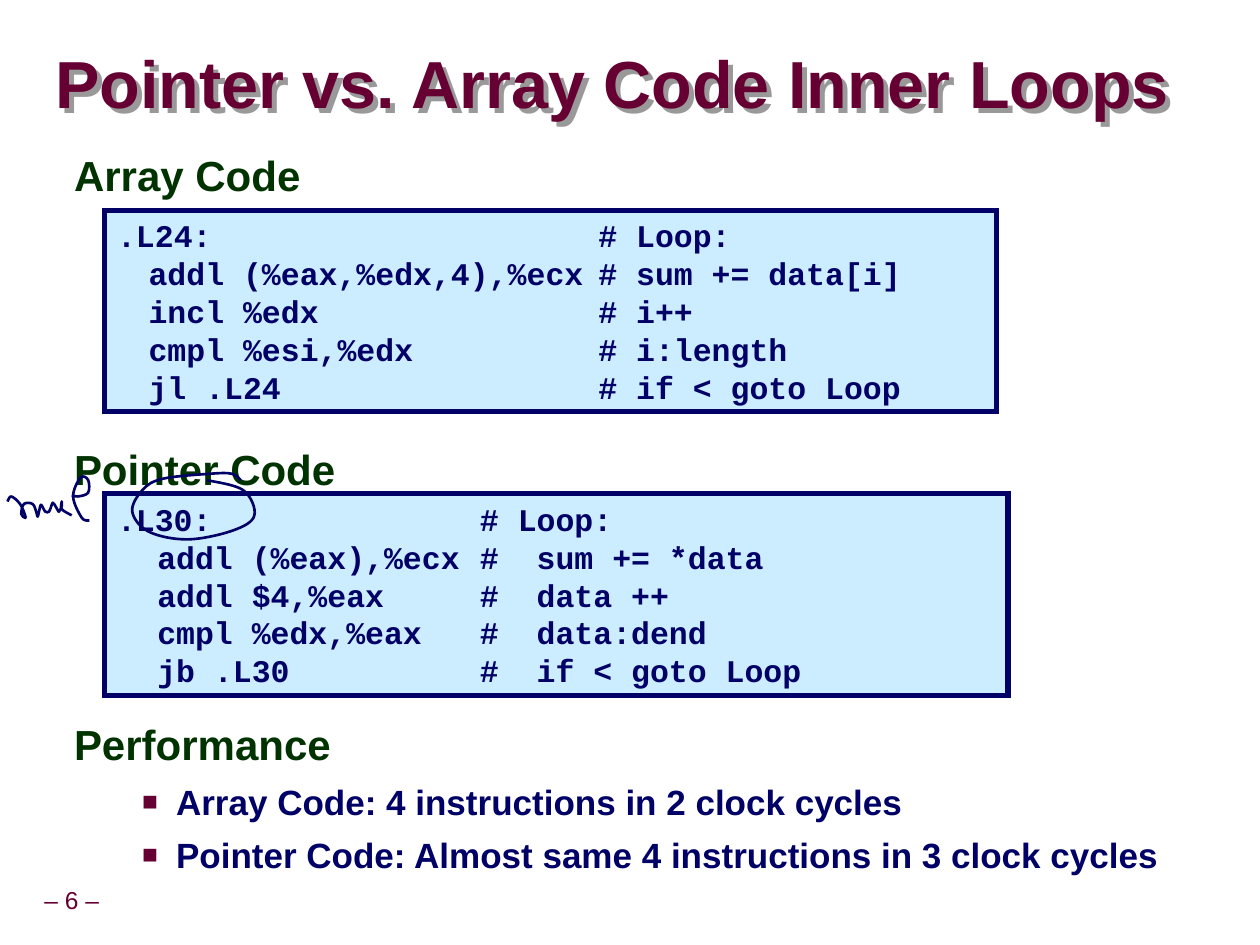
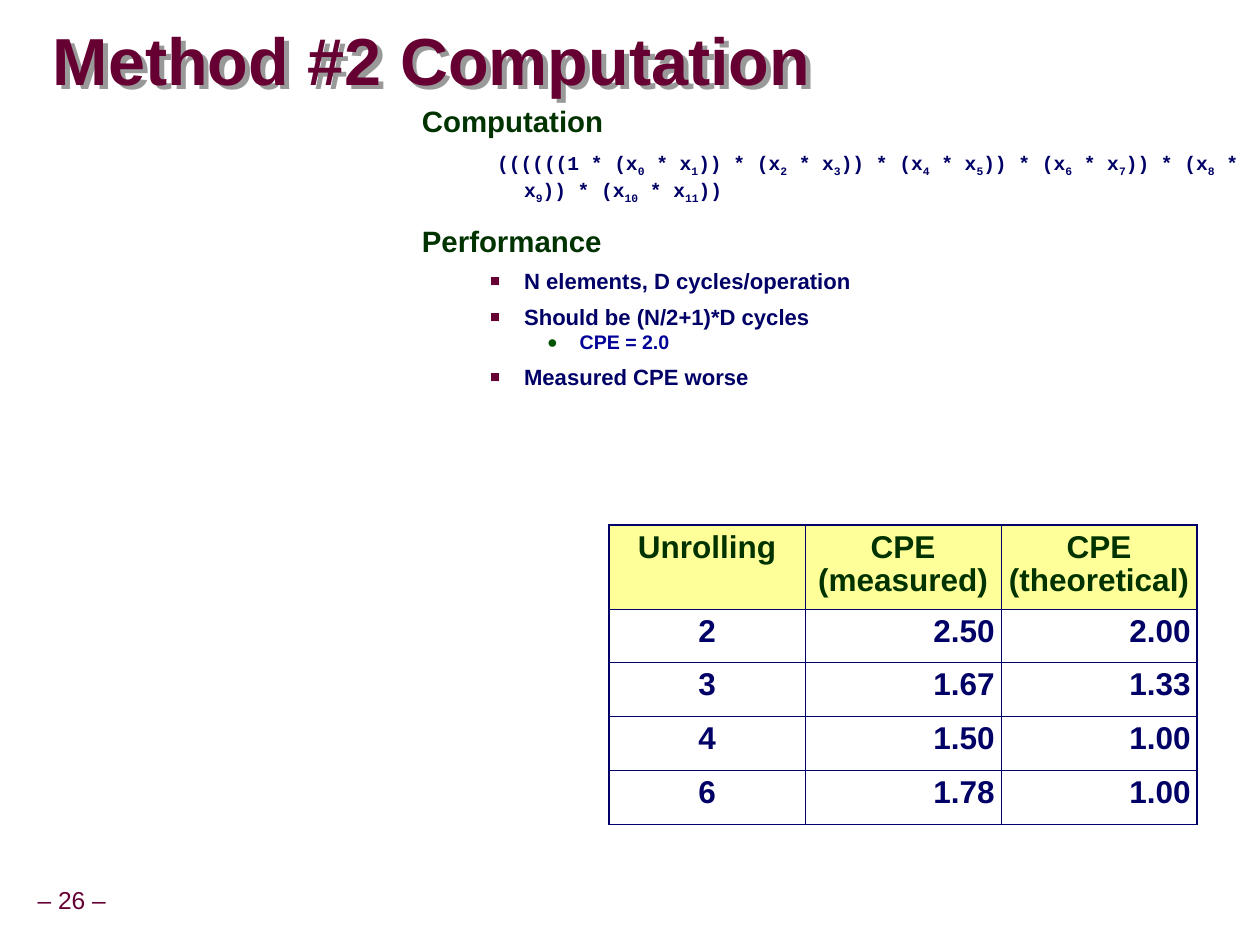
import pptx
import pptx.util
import pptx.dml.color
import pptx.enum.shapes
import pptx.enum.text
import pptx.oxml.ns
import lxml.etree

Pt = pptx.util.Pt
Align = pptx.enum.text.PP_ALIGN
Anchor = pptx.enum.text.MSO_ANCHOR

# Content: each paragraph is (kind, text) or (kind, text, space before)
LOOPS = {
    "title": "Pointer vs. Array Code Inner Loops",
    "spot": (31.7, 19.6, 686, 61.2),
    "page": "– 6 –",
    "body": [
        ("head", "Array Code", 0),
        ("head", "Pointer Code", 140.6),
        ("head", "Performance", 129.7),
        ("item", "Array Code: 4 instructions in 2 clock cycles"),
        ("item", "Pointer Code: Almost same 4 instructions in 3 clock cycles"),
    ],
    "area": (35.2, 84.2, 650, 432),
}
CODES = [
    {"area": (59.8, 120.2, 509.8, 115.2), "tabs": (18, 275), "lines": [
        ".L24:\t# Loop:",
        "\taddl (%eax,%edx,4),%ecx\t# sum += data[i]",
        "\tincl %edx\t# i++",
        "\tcmpl %esi,%edx\t# i:length",
        "\tjl .L24\t# if < goto Loop"]},
    {"area": (59.8, 282.2, 516.2, 115.2), "tabs": (23, 207.4), "lines": [
        ".L30:\t# Loop:",
        "\taddl (%eax),%ecx\t#  sum += *data",
        "\taddl $4,%eax\t#  data ++",
        "\tcmpl %edx,%eax\t#  data:dend",
        "\tjb .L30\t#  if < goto Loop"]},
]
# Pen strokes: knots of smooth curves
INK = [
    [(137.5, 274.3), (132.5, 270.7), (120.2, 270.7), (92.9, 273.6),
     (81.4, 280.1), (75.6, 292.3), (85, 303.8), (107.3, 308.2),
     (133.2, 303.1), (145.4, 294.5), (139, 280.1), (118.1, 274.3)],
    [(4.3, 286.6), (6.5, 283.7), (11.5, 288), (14.4, 294.5), (14.4, 295.9),
     (12.2, 293.8), (13.7, 288), (18.7, 288), (20.9, 293), (21.6, 295.2),
     (23, 289.4), (23.8, 288.7), (25.9, 292.3), (28.1, 292.3),
     (29.5, 288.7), (30.2, 287.3), (31, 288), (33.1, 291.6), (33.8, 292.3),
     (35.3, 289.4), (35.3, 287.3), (35.3, 286.6), (35.3, 290.9),
     (41, 294.5)],
    [(41, 283), (44.6, 283.7), (50.4, 281.5), (50.4, 274.3), (46.1, 272.9),
     (41.8, 283.7), (46.8, 295.9), (51.1, 297.4)],
]
# Text between underscores is subscript
METHOD = {
    "title": "Method #2 Computation",
    "spot": (30.2, 6.1, 526.3, 61.2),
    "page": "– 26 –",
    "body": [
        ("head2", "Computation", 0),
        ("sum", "((((((1 * (x_0_ * x_1_)) * (x_2_ * x_3_)) * (x_4_ * x_5_))"
                " * (x_6_ * x_7_)) * (x_8_ * x_9_)) * (x_10_ * x_11_))"),
        ("head2", "Performance"),
        ("item2", "N elements, D cycles/operation"),
        ("item2", "Should be (N/2+1)*D cycles"),
        ("sub", "CPE = 2.0"),
        ("item2", "Measured CPE worse"),
    ],
    "area": (234, 59.8, 486, 167.8),
}
TABLE = {
    "spot": (348, 300),
    "width": 112,
    "heights": (48, 30.4, 30.8, 30.8, 30.8),
    "rows": [("Unrolling", "CPE (measured)", "CPE (theoretical)"),
             ("2", "2.50", "2.00"), ("3", "1.67", "1.33"),
             ("4", "1.50", "1.00"), ("6", "1.78", "1.00")],
}


class Theme:
    wine, green, navy = "660033", "003300", "000066"
    sky, cream, grey = "CCECFF", "FFFF99", "999999"
    sans, mono = "Arial", "Courier New"
    box, thin, pen, edge, inner = 7.2, 3.6, 1.5, 0.75, 0.45
    square, disc = ("■", wine, 75), ("●", "005400", 90)
    styles = {
        "title": dict(size=38, color=wine, bold=True, line=0.87),
        "page": dict(size=14, color=wine, line=0.9, align=Align.CENTER),
        "head": dict(size=24, color=green, bold=True, line=0.95, before=15),
        "item": dict(size=20, color=navy, bold=True, before=6.2,
                     left=58.3, hang=-19.4, bullet=square),
        "code": dict(size=18, color=navy, bold=True, font=mono),
        "head2": dict(size=16.8, color=green, bold=True, line=0.75, before=15),
        "sum": dict(size=11.2, color=navy, bold=True, font=mono, before=8,
                    left=58.4, hang=-15.4),
        "item2": dict(size=12.6, color=navy, bold=True, before=5.6,
                      left=58.4, hang=-19.4, bullet=square),
        "sub": dict(size=11.2, color="000099", bold=True, line=0.87, before=2,
                    left=90.2, hang=-18.7, bullet=disc),
        "top": dict(size=18, color=green, bold=True, line=0.95,
                    align=Align.CENTER),
        "key": dict(size=18, color=navy, bold=True, line=0.95,
                    align=Align.CENTER),
        "value": dict(size=18, color=navy, bold=True, line=0.95,
                      align=Align.RIGHT),
    }


def rgb(code):
    return pptx.dml.color.RGBColor.from_string(code)


def pts(values):
    return [Pt(v) for v in values]


def put(obj, **values):
    for name, value in values.items():
        setattr(obj, name, value)


def node(parent, tag, **values):
    item = lxml.etree.SubElement(parent, pptx.oxml.ns.qn("a:" + tag))
    for name, value in values.items():
        item.set(name, str(value))
    return item


# Text
def write(para, kind, text, before=None, tabs=()):
    style = Theme.styles[kind]
    props = para._p.get_or_add_pPr()
    if "left" in style:
        props.set("marL", str(Pt(style["left"])))
        props.set("indent", str(Pt(style["hang"])))
    if "bullet" in style:
        mark, color, size = style["bullet"]
        node(node(props, "buClr"), "srgbClr", val=color)
        node(props, "buSzPct", val=size * 1000)
        node(props, "buFont", typeface=Theme.sans)
        node(props, "buChar", char=mark)
    if tabs:
        stops = node(props, "tabLst")
        for tab in tabs:
            node(stops, "tab", pos=Pt(tab), algn="l")
    gap = style.get("before", 0) if before is None else before
    put(para, space_before=Pt(gap), line_spacing=style.get("line", 1.0),
        alignment=style.get("align", Align.LEFT))
    parts = text.split("_") if kind == "sum" else [text]
    for i, part in enumerate(parts):
        run = para.add_run()
        run.text = part
        put(run.font, size=Pt(style["size"]), bold=style.get("bold", False),
            name=style.get("font", Theme.sans))
        run.font.color.rgb = rgb(style["color"])
        if i % 2:
            run.font._element.set("baseline", "-25000")


def fill(frame, paras, pad, anchor=Anchor.TOP, wrap=True, tabs=()):
    put(frame, word_wrap=wrap, vertical_anchor=anchor)
    for side in ("left", "top", "right", "bottom"):
        across = side in ("left", "right")
        setattr(frame, "margin_" + side, Pt(pad if across else min(pad, 3.6)))
    for i, para in enumerate(paras):
        spot = frame.add_paragraph() if i else frame.paragraphs[0]
        write(spot, *para, tabs=tabs)


def label(slide, area, paras, pad, **more):
    box = slide.shapes.add_textbox(*pts(area))
    fill(box.text_frame, paras, pad, **more)
    return box


# Shared frame: title with a soft shadow, body text, page number
def start(deck, data):
    slide = deck.slides.add_slide(deck.slide_layouts[6])
    label(slide, (0, 504, 82, 22.3), [("page", data["page"])], Theme.thin,
          anchor=Anchor.MIDDLE, wrap=False)
    title = label(slide, data["spot"], [("title", data["title"])], 0,
                  anchor=Anchor.MIDDLE)
    effect = node(title._element.spPr, "effectLst")
    shade = node(effect, "outerShdw", dist=Pt(4), dir=2700000, algn="ctr")
    node(shade, "srgbClr", val=Theme.grey)
    label(slide, data["area"], data["body"], Theme.box)
    return slide


def listing(slide, code):
    kind = pptx.enum.shapes.MSO_SHAPE.RECTANGLE
    box = slide.shapes.add_shape(kind, *pts(code["area"]))
    box.shadow.inherit = False
    box.fill.solid()
    box.fill.fore_color.rgb = rgb(Theme.sky)
    box.line.color.rgb = rgb(Theme.navy)
    box.line.width = Pt(3)
    node(box.line._get_or_add_ln(), "miter", lim=800000)
    fill(box.text_frame, [("code", line) for line in code["lines"]],
         Theme.box, tabs=code["tabs"])


# Smooth curve through the knots: two handles and an end for each piece
def curve(knots):
    ends = [knots[0], *knots, knots[-1]]
    for a, b, c, d in zip(ends, ends[1:], ends[2:], ends[3:]):
        yield ([q + (r - p) / 6 for p, q, r in zip(a, b, c)],
               [r - (s - q) / 6 for q, r, s in zip(b, c, d)], c)


def draw(slide, strokes):
    pen = slide.shapes.build_freeform(*pts(strokes[0][0]))
    for i, knots in enumerate(strokes):
        if i:
            pen.move_to(*pts(knots[0]))
        pen.add_line_segments([pts(knot) for knot in knots[1:]], close=False)
    ink = pen.convert_to_shape()
    ink.shadow.inherit = False
    ink.fill.background()
    ink.line.color.rgb = rgb(Theme.navy)
    ink.line.width = Pt(Theme.pen)
    # The frame sits halfway to the slide corner; the outline makes up the rest
    put(ink, left=ink.left // 2, top=ink.top // 2)
    route = ink._element.spPr.find(".//" + pptx.oxml.ns.qn("a:path"))
    for step in list(route):
        route.remove(step)
    for knots in strokes:
        steps = [("moveTo", knots[:1])]
        steps += [("cubicBezTo", piece) for piece in curve(knots)]
        for tag, spots in steps:
            step = node(route, tag)
            for x, y in spots:
                node(step, "pt", x=Pt(x) - ink.left, y=Pt(y) - ink.top)


# Table with a heavier outer border
def grid(slide, data):
    rows, wide = data["rows"], data["width"]
    high, count = data["heights"], len(data["rows"][0])
    size = (wide * count, sum(high))
    table = slide.shapes.add_table(len(rows), count, *pts(data["spot"]),
                                   *pts(size)).table
    put(table, first_row=False, horz_banding=False)
    for col in table.columns:
        col.width = Pt(wide)
    for r, row in enumerate(rows):
        table.rows[r].height = Pt(high[r])
        for c, text in enumerate(row):
            cell = table.cell(r, c)
            kind = "value" if c else "key"
            put(cell, **{"margin_" + side: Pt(Theme.thin)
                         for side in ("left", "top", "right", "bottom")})
            write(cell.text_frame.paragraphs[0], kind if r else "top", text)
            props = cell._tc.get_or_add_tcPr()
            outer = dict(lnL=c == 0, lnR=c == count - 1,
                         lnT=r == 0, lnB=r == len(rows) - 1)
            for tag, edge in outer.items():
                line = node(props, tag, w=Pt(Theme.edge if edge else Theme.inner))
                node(node(line, "solidFill"), "srgbClr", val=Theme.navy)
            if r:
                cell.fill.background()
            else:
                cell.fill.solid()
                cell.fill.fore_color.rgb = rgb(Theme.cream)


def main():
    deck = pptx.Presentation()
    put(deck, slide_width=Pt(720), slide_height=Pt(540))
    loops = start(deck, LOOPS)
    for code in CODES:
        listing(loops, code)
    draw(loops, INK)
    grid(start(deck, METHOD), TABLE)
    deck.save("out.pptx")


if __name__ == "__main__":
    main()
